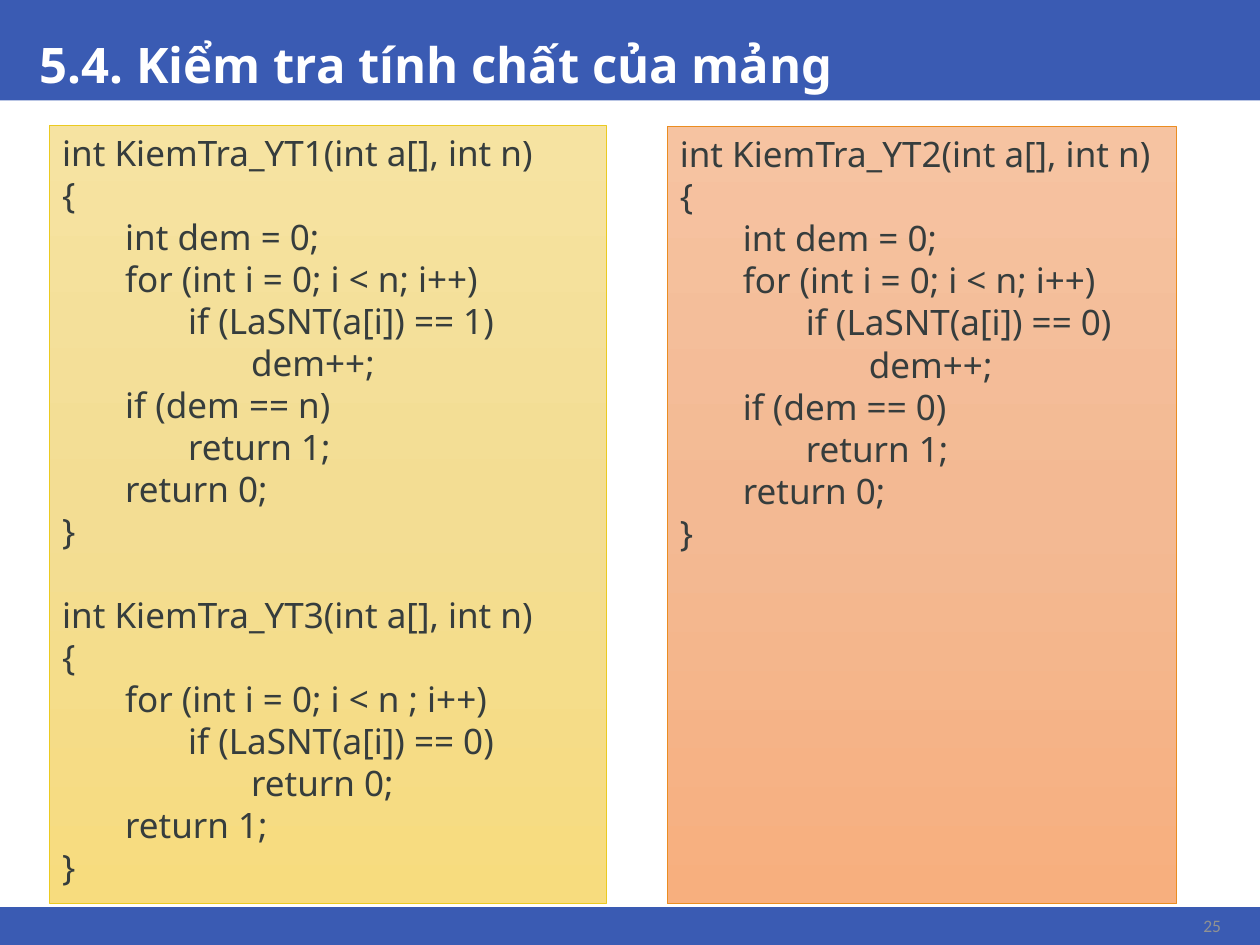
import copy
import dataclasses

import pptx
import pptx.dml.color
import pptx.enum.shapes
import pptx.enum.text
import pptx.oxml.ns
import pptx.util

Pt = pptx.util.Pt
Align = pptx.enum.text.PP_ALIGN
Anchor = pptx.enum.text.MSO_ANCHOR


@dataclasses.dataclass(frozen=True)
class Theme:
    """Colours, fonts and type sizes of the slide."""
    band: str = "3A5BB3"
    title: str = "FFFFFF"
    code: str = "363D3D"
    number: str = "919292"
    yellow: tuple = ("F6E3A1", "F3DD93", "F7DC7E")
    yellow_edge: str = "EBCA21"
    orange: tuple = ("F6C3A1", "F3B993", "F7AF7E")
    orange_edge: str = "EB8D21"
    text_font: str = "Noto Sans"
    number_font: str = "Calibri"
    title_size: int = 28
    code_size: int = 20
    code_leading: int = 24
    number_size: int = 10


THEME = Theme()
INDENT = 36

CHECK_ALL_PRIME = [
    (0, "int KiemTra_YT1(int a[], int n)"),
    (0, "{"),
    (1, "int dem = 0;"),
    (1, "for (int i = 0; i < n; i++)"),
    (1, "\tif (LaSNT(a[i]) == 1)"),
    (1, "\t\tdem++;"),
    (1, "if (dem == n)"),
    (1, "\treturn 1;"),
    (1, "return 0;"),
    (0, "}"),
]
CHECK_EARLY_EXIT = [
    (0, "int KiemTra_YT3(int a[], int n)"),
    (0, "{"),
    (1, "for (int i = 0; i < n ; i++)"),
    (1, "\tif (LaSNT(a[i]) == 0)"),
    (1, "\t\treturn 0;"),
    (0, "\treturn 1;"),
    (0, "}"),
]
CHECK_NO_COMPOSITE = [
    (0, "int KiemTra_YT2(int a[], int n)"),
    (0, "{"),
    (1, "int dem = 0;"),
    (1, "for (int i = 0; i < n; i++)"),
    (1, "\tif (LaSNT(a[i]) == 0)"),
    (2, "\tdem++;"),
    (1, "if (dem == 0)"),
    (1, "\treturn 1;"),
    (1, "return 0;"),
    (0, "}"),
]


def rgb(value):
    """Turn a hex string into a colour."""
    return pptx.dml.color.RGBColor.from_string(value)


def set_font(paragraph, name, size, color, bold=False):
    """Format a whole paragraph."""
    font = paragraph.font
    font.name, font.size, font.bold = name, Pt(size), bold
    font.color.rgb = rgb(color)


def add_rectangle(slide, box):
    """Add a rectangle without shadow."""
    rectangle = slide.shapes.add_shape(
        pptx.enum.shapes.MSO_SHAPE.RECTANGLE, *map(Pt, box))
    rectangle.shadow.inherit = False
    return rectangle


def add_band(slide, box):
    """Add a plain band behind the title."""
    band = add_rectangle(slide, box)
    band.fill.solid()
    band.fill.fore_color.rgb = rgb(THEME.band)
    band.line.fill.background()
    slide.shapes.title._element.addprevious(band._element)


def place_heading(slide, box, text):
    """Place the slide title in its box."""
    heading = slide.shapes.title
    heading.left, heading.top, heading.width, heading.height = map(Pt, box)
    heading.text = text
    heading.text_frame.vertical_anchor = Anchor.BOTTOM
    heading.text_frame.auto_size = pptx.enum.text.MSO_AUTO_SIZE.NONE
    paragraph = heading.text_frame.paragraphs[0]
    paragraph.alignment = Align.LEFT
    paragraph.line_spacing = 0.9
    set_font(paragraph, THEME.text_font, THEME.title_size, THEME.title, bold=True)


def add_page_number(slide, box, text):
    """Add the page number at the right of the footer."""
    frame = slide.shapes.add_textbox(*map(Pt, box)).text_frame
    frame.word_wrap = True
    frame.vertical_anchor = Anchor.MIDDLE
    frame.text = text
    paragraph = frame.paragraphs[0]
    paragraph.alignment = Align.RIGHT
    set_font(paragraph, THEME.number_font, THEME.number_size, THEME.number)


def fill_gradient(panel, colors):
    """Fill a panel with three colours from top to bottom."""
    panel.fill.gradient()
    panel.fill.gradient_angle = 270
    stop_list = panel._element.spPr.find(".//" + pptx.oxml.ns.qn("a:gsLst"))
    stop_list.insert(1, copy.deepcopy(stop_list[0]))
    for stop, color, position in zip(panel.fill.gradient_stops, colors, (0, 0.5, 1)):
        stop.color.rgb = rgb(color)
        stop.position = position


def add_code_panel(slide, box, colors, edge, functions):
    """Add a gradient panel listing functions one below another."""
    panel = add_rectangle(slide, box)
    fill_gradient(panel, colors)
    panel.line.color.rgb = rgb(edge)
    panel.line.width = Pt(0.5)
    frame = panel.text_frame
    frame.word_wrap = True
    frame.vertical_anchor = Anchor.TOP
    lines = [(index, *line) for index, function in enumerate(functions)
             for line in function]
    previous = 0
    for number, (index, depth, text) in enumerate(lines):
        paragraph = frame.add_paragraph() if number else frame.paragraphs[0]
        paragraph.text = text
        paragraph.alignment = Align.LEFT
        paragraph.line_spacing = Pt(THEME.code_leading)
        if index != previous:
            paragraph.space_before = Pt(THEME.code_leading)
        previous = index
        properties = paragraph._p.get_or_add_pPr()
        properties.set("marL", str(Pt(depth * INDENT)))
        properties.set("indent", "0")
        set_font(paragraph, THEME.text_font, THEME.code_size, THEME.code)


def main():
    """Build the slide and save it."""
    deck = pptx.Presentation()
    deck.slide_width, deck.slide_height = Pt(720), Pt(540)
    slide = deck.slides.add_slide(deck.slide_layouts[5])
    add_band(slide, (0, 0, 720, 57.4))
    add_band(slide, (0, 518.4, 720, 21.6))
    place_heading(slide, (15.6, 0, 689, 57.4), "5.4. Kiểm tra tính chất của mảng")
    add_page_number(slide, (666.7, 519.8, 38, 18.7), "25")
    add_code_panel(slide, (28.4, 71.5, 318.2, 445), THEME.yellow,
                   THEME.yellow_edge, [CHECK_ALL_PRIME, CHECK_EARLY_EXIT])
    add_code_panel(slide, (381.4, 72.4, 291, 444.1), THEME.orange,
                   THEME.orange_edge, [CHECK_NO_COMPOSITE])
    deck.save("out.pptx")


if __name__ == "__main__":
    main()
